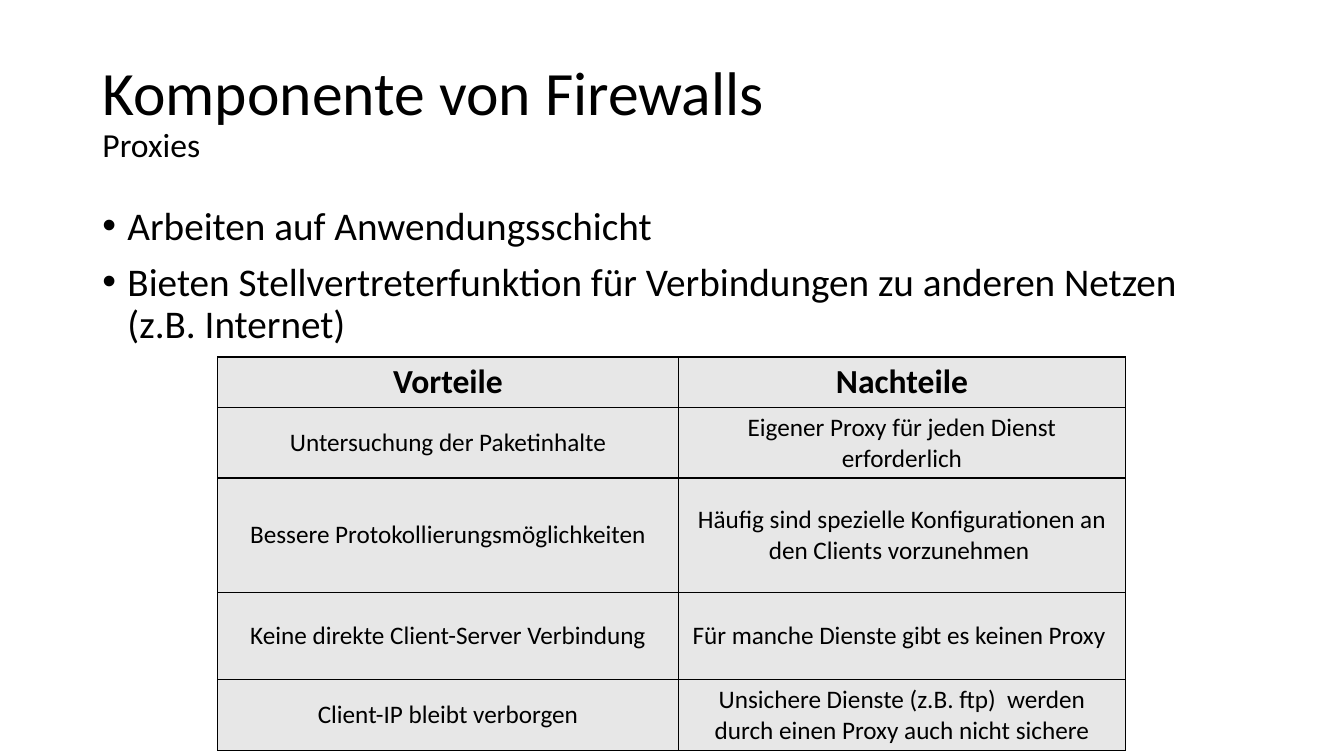
from lxml.etree import SubElement
from pptx import Presentation
from pptx.dml.color import RGBColor
from pptx.enum.text import MSO_ANCHOR, MSO_AUTO_SIZE, PP_ALIGN
from pptx.oxml.ns import qn
from pptx.util import Pt

FONT = "Calibri"
COLORS = {"text": "000000", "cell": "E7E7E7", "line": "000000"}
TITLE = [("Komponente von Firewalls", 44), ("Proxies", 24)]
POINTS = [
    "Arbeiten auf Anwendungsschicht",
    "Bieten Stellvertreterfunktion für Verbindungen zu anderen Netzen (z.B. Internet)",
]
ROWS = [
    ("Vorteile", "Nachteile"),
    ("Untersuchung der Paketinhalte", "Eigener Proxy für jeden Dienst erforderlich"),
    ("Bessere Protokollierungsmöglichkeiten",
     "Häufig sind spezielle Konfigurationen an den Clients vorzunehmen "),
    ("Keine direkte Client-Server Verbindung", "Für manche Dienste gibt es keinen Proxy "),
    ("Client-IP bleibt verborgen",
     "Unsichere Dienste (z.B. ftp)  werden durch einen Proxy auch nicht sichere"),
]
WIDTHS = [329, 319.5]
HEIGHTS = [31, 44, 81.5, 62.5, 44]
LEFT, WIDE = 66, 828


def tint(name):
    return RGBColor.from_string(COLORS[name])


def style(font, size, bold=False):
    font.name, font.size, font.bold = FONT, Pt(size), bold
    font.color.rgb = tint("text")


def add_title(slide):
    title = slide.shapes.title
    title.left, title.top, title.width, title.height = map(Pt, (LEFT, 28.75, WIDE, 104.4))
    frame = title.text_frame
    frame.auto_size = MSO_AUTO_SIZE.NONE
    frame.vertical_anchor = MSO_ANCHOR.MIDDLE
    para = frame.paragraphs[0]
    para.alignment = PP_ALIGN.LEFT
    para.line_spacing = 0.9
    for i, (text, size) in enumerate(TITLE):
        if i:
            para.add_line_break()
        run = para.add_run()
        run.text = text
        style(run.font, size)


def add_points(slide):
    box = slide.shapes.add_textbox(*map(Pt, (LEFT, 143.75, WIDE, 342.6)))
    frame = box.text_frame
    frame.word_wrap = True
    for i, text in enumerate(POINTS):
        para = frame.add_paragraph() if i else frame.paragraphs[0]
        para.text = text
        para.line_spacing = 0.9
        para.space_before = Pt(10)
        style(para.font, 28)
        props = para._p.get_or_add_pPr()
        props.set("marL", str(Pt(18)))
        props.set("indent", str(Pt(-18)))
        bullet = [SubElement(props, qn("a:buFont")), SubElement(props, qn("a:buChar"))]
        bullet[0].set("typeface", "Arial")
        bullet[1].set("char", "•")
        font = props.find(qn("a:defRPr"))
        if font is not None:
            props.append(font)


def add_edges(cell):
    props = cell._tc.get_or_add_tcPr()
    for i, side in enumerate(("lnL", "lnR", "lnT", "lnB")):
        line = SubElement(props, qn("a:" + side), w=str(Pt(1)))
        fill = SubElement(line, qn("a:solidFill"))
        SubElement(fill, qn("a:srgbClr"), val=COLORS["line"])
        props.insert(i, line)


def add_grid(slide):
    frame = slide.shapes.add_table(
        len(ROWS), len(WIDTHS), Pt(155.5), Pt(255), Pt(sum(WIDTHS)), Pt(sum(HEIGHTS)))
    table = frame.table
    for col, width in zip(table.columns, WIDTHS):
        col.width = Pt(width)
    for r, (texts, height) in enumerate(zip(ROWS, HEIGHTS)):
        table.rows[r].height = Pt(height)
        for c, text in enumerate(texts):
            cell = table.cell(r, c)
            cell.text = text
            cell.vertical_anchor = MSO_ANCHOR.MIDDLE
            cell.fill.solid()
            cell.fill.fore_color.rgb = tint("cell")
            para = cell.text_frame.paragraphs[0]
            para.alignment = PP_ALIGN.CENTER
            style(para.font, 18 if r else 24, not r)
            add_edges(cell)


def main():
    deck = Presentation()
    deck.slide_width, deck.slide_height = Pt(960), Pt(540)
    slide = deck.slides.add_slide(deck.slide_layouts[5])
    add_title(slide)
    add_points(slide)
    add_grid(slide)
    deck.save("out.pptx")


if __name__ == "__main__":
    main()
